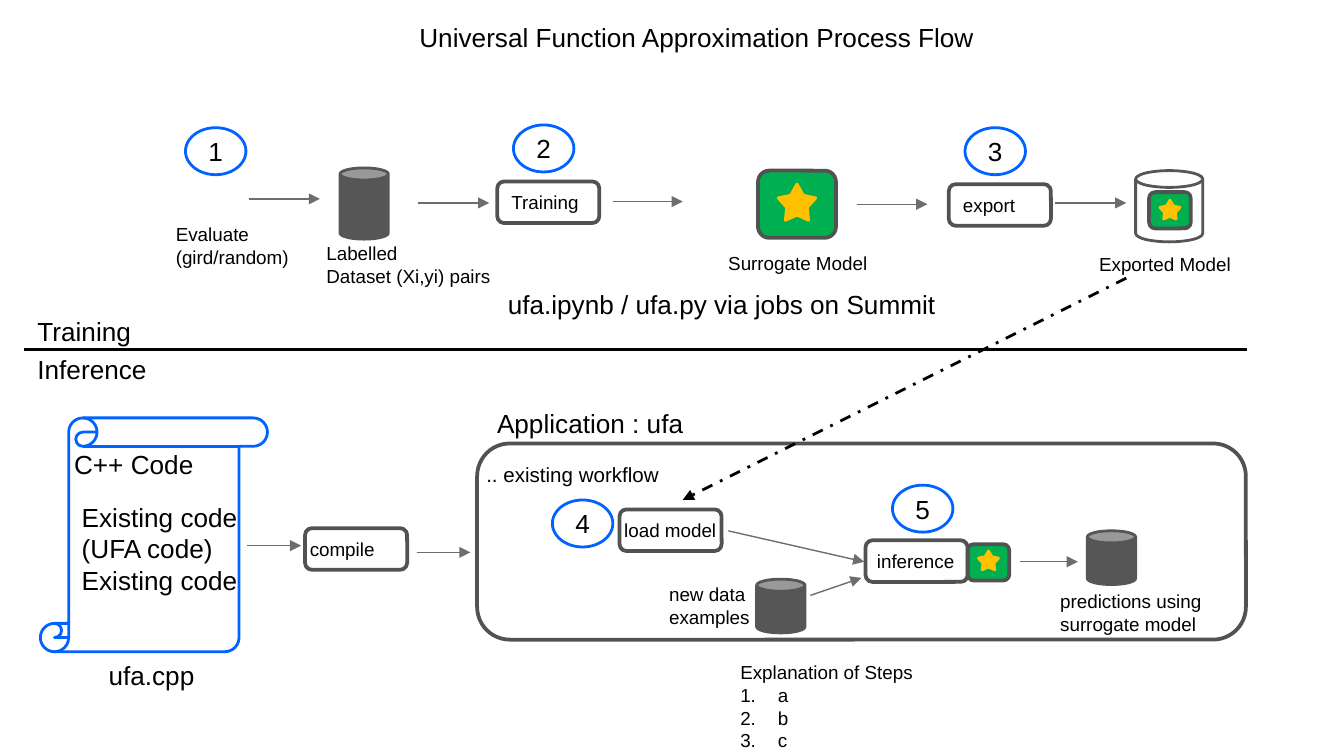
"""Build the Universal Function Approximation process flow slide."""
from lxml import etree
from pptx import Presentation
from pptx.dml.color import RGBColor
from pptx.enum.dml import MSO_LINE
from pptx.enum.shapes import MSO_CONNECTOR, MSO_SHAPE as SHAPE
from pptx.enum.text import MSO_ANCHOR as ANCHOR, MSO_AUTO_SIZE as FIT, PP_ALIGN as ALIGN
from pptx.oxml.ns import qn
from pptx.util import Inches, Pt

rgb = RGBColor.from_string
BLACK, BLUE, GREEN, GOLD = "000000", "0062FF", "00B050", "FFC000"
FRAME, STORE, ARROW = "525252", "565656", "6D6D6D"
SMALL, LARGE = 10.1, 14

prs = Presentation()
prs.slide_width = Inches(10)
prs.slide_height = prs.slide_width * 9 // 16
slide = prs.slides.add_slide(prs.slide_layouts[5])


def add_outline(kind, box, line, width, fill=None):
    shape = slide.shapes.add_shape(kind, *map(Inches, box))
    shape.shadow.inherit = False
    shape.line.color.rgb = rgb(line)
    shape.line.width = Pt(width)
    if fill:
        shape.fill.solid()
        shape.fill.fore_color.rgb = rgb(fill)
    else:
        shape.fill.background()
    return shape


def write(shape, text, size, wrap=False, align=ALIGN.LEFT, anchor=ANCHOR.TOP, insets=(0.1, 0.05)):
    frame = shape.text_frame
    frame.text = text
    frame.word_wrap = wrap
    frame.vertical_anchor = anchor
    frame.margin_left = frame.margin_right = Inches(insets[0])
    frame.margin_top = frame.margin_bottom = Inches(insets[1])
    for paragraph in frame.paragraphs:
        paragraph.alignment = align
        paragraph.font.name = "Arial"
        paragraph.font.size = Pt(size)
        paragraph.font.color.rgb = rgb(BLACK)
    return frame


title = slide.shapes.title
title.left, title.top, title.width, title.height = map(Inches, (3.02, 0.11, 4.35, 0.34))
write(title, "Universal Function Approximation Process Flow", LARGE).auto_size = FIT.NONE

add_outline(SHAPE.ROUNDED_RECTANGLE, (3.55, 3.3, 5.72, 1.46), FRAME, 2)

code_scroll = add_outline(SHAPE.VERTICAL_SCROLL, (0.3, 3.11, 1.69, 1.74), BLUE, 1.5)
code_heading = write(code_scroll, "C++ Code", LARGE, wrap=True, insets=(0.04, 0.04))
code_heading.paragraphs[0].line_spacing = 0.9

for left, top, height, width, fill in [
    (2.53, 1.25, 0.53, 0.36, STORE),
    (8.45, 1.27, 0.53, 0.5, None),
    (8.09, 3.95, 0.4, 0.36, STORE),
    (5.63, 4.31, 0.4, 0.36, STORE),
]:
    add_outline(SHAPE.CAN, (left, top, width, height), STORE, 1.5, fill)

for model_box, star_box in [
    ((5.64, 1.27, 0.58, 0.5), (5.79, 1.37, 0.28, 0.27)),
    ((8.55, 1.43, 0.31, 0.27), (8.63, 1.49, 0.15, 0.14)),
    ((7.2, 4.05, 0.31, 0.27), (7.28, 4.1, 0.15, 0.14)),
]:
    add_outline(SHAPE.ROUNDED_RECTANGLE, model_box, FRAME, 2, GREEN)
    star = add_outline(SHAPE.STAR_5_POINT, star_box, GOLD, 1.5, GOLD)
    star.adjustments[0] = 0.274

for step, left, top, inset in [
    ("Training", 3.7, 1.35, 0.09),
    ("export", 7.06, 1.37, 0.09),
    ("load model", 4.61, 3.79, 0.02),
    ("inference", 6.44, 4.02, 0.07),
    ("compile", 2.27, 3.93, 0.02),
]:
    step_box = add_outline(SHAPE.ROUNDED_RECTANGLE, (left, top, 0.76, 0.31), FRAME, 2)
    write(step_box, step, SMALL, anchor=ANCHOR.MIDDLE, insets=(inset, 0))

step_places = [(1.38, 0.95), (3.82, 0.93), (7.18, 0.95), (4.11, 3.72), (6.64, 3.61)]
for number, (left, top) in enumerate(step_places, start=1):
    badge = add_outline(SHAPE.OVAL, (left, top, 0.45, 0.35), BLUE, 1.5)
    write(badge, str(number), LARGE, align=ALIGN.CENTER, anchor=ANCHOR.MIDDLE, insets=(0, 0))

for text, box, size in [
    ("Evaluate\n(gird/random)", (1.21, 1.61, 1.06, 0.44), SMALL),
    ("Labelled\nDataset (Xi,yi) pairs", (2.33, 1.75, 1.45, 0.44), SMALL),
    ("Surrogate Model", (5.32, 1.82, 1.25, 0.27), SMALL),
    ("Exported Model", (8.08, 1.83, 1.2, 0.27), SMALL),
    ("ufa.ipynb / ufa.py via jobs on Summit", (3.68, 2.1, 3.4, 0.34), LARGE),
    ("Training", (0.18, 2.3, 0.9, 0.34), LARGE),
    ("Inference", (0.18, 2.58, 1.02, 0.34), LARGE),
    ("Existing code\n(UFA code)\nExisting code", (0.51, 3.68, 1.37, 0.81), LARGE),
    ("ufa.cpp", (0.71, 4.86, 0.84, 0.34), LARGE),
    ("Application : ufa", (3.6, 2.98, 1.6, 0.34), LARGE),
    (".. existing workflow", (3.52, 3.39, 1.5, 0.29), 11),
    ("new data\nexamples", (4.88, 4.29, 0.82, 0.44), SMALL),
]:
    write(slide.shapes.add_textbox(*map(Inches, box)), text, size).auto_size = FIT.SHAPE_TO_FIT_TEXT

predictions = slide.shapes.add_textbox(*map(Inches, (7.79, 4.34, 1.33, 0.44)))
write(predictions, "predictions using surrogate model", SMALL, wrap=True)

explanation = slide.shapes.add_textbox(*map(Inches, (5.41, 4.87, 4.5, 0.95)))
steps = write(explanation, "Explanation of Steps\na\nb\nc", SMALL, wrap=True)
for item in steps.paragraphs[1:]:
    properties = item._p.get_or_add_pPr()
    properties.set("marL", str(Inches(0.28)))
    properties.set("indent", str(-Inches(0.28)))
    numbering = etree.Element(qn("a:buAutoNum"), type="arabicPeriod")
    properties.insert(0, numbering)

for start, end, color, width, dash, head in [
    ((1.85, 1.48), (2.38, 1.48), ARROW, 0.75, None, True),
    ((3.11, 1.51), (3.64, 1.51), ARROW, 0.75, None, True),
    ((4.56, 1.5), (5.08, 1.5), ARROW, 0.75, None, True),
    ((6.38, 1.52), (6.9, 1.52), ARROW, 0.75, None, True),
    ((7.85, 1.51), (8.38, 1.51), ARROW, 0.75, None, True),
    ((1.84, 4.06), (2.24, 4.06), ARROW, 0.75, None, True),
    ((3.1, 4.11), (3.5, 4.11), ARROW, 0.75, None, True),
    ((5.42, 3.95), (6.43, 4.18), ARROW, 0.75, None, True),
    ((6.03, 4.43), (6.41, 4.3), ARROW, 0.75, None, True),
    ((7.59, 4.18), (8.02, 4.18), ARROW, 0.75, None, True),
    ((8.38, 2.07), (5.08, 3.72), BLACK, 1.5, MSO_LINE.DASH_DOT, True),
    ((0.18, 2.6), (9.28, 2.6), BLACK, 1.5, None, False),
]:
    flow = slide.shapes.add_connector(MSO_CONNECTOR.STRAIGHT, *map(Inches, start + end))
    flow.line.color.rgb = rgb(color)
    flow.line.width = Pt(width)
    if dash:
        flow.line.dash_style = dash
    if head:
        etree.SubElement(flow.line._get_or_add_ln(), qn("a:tailEnd"), type="triangle")
    etree.SubElement(flow._element.spPr, qn("a:effectLst"))

prs.save("out.pptx")
